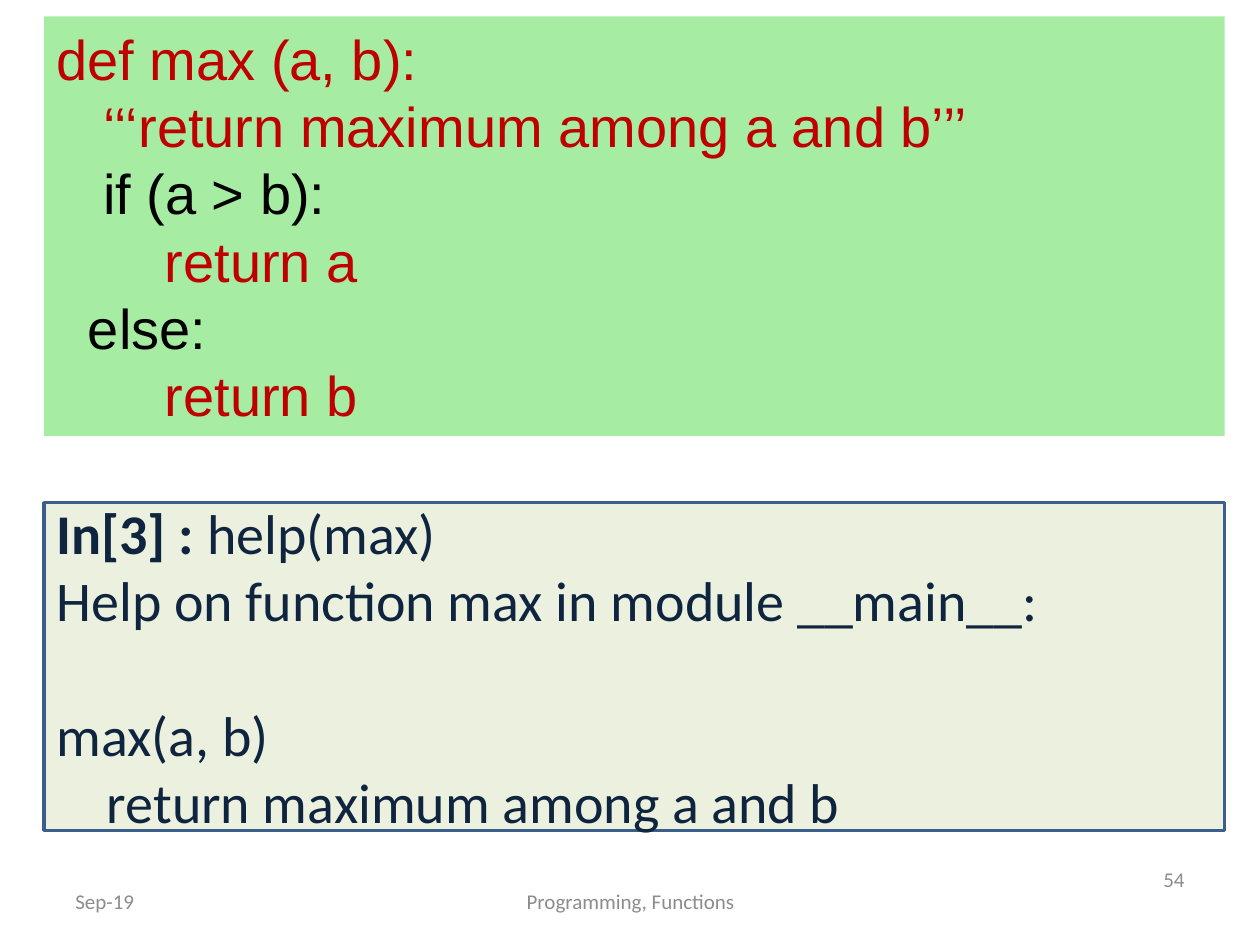
from pptx import Presentation
from pptx.dml.color import RGBColor
from pptx.enum.shapes import MSO_SHAPE
from pptx.enum.text import MSO_ANCHOR, PP_ALIGN
from pptx.util import Inches, Pt

RECTANGLE = MSO_SHAPE.RECTANGLE
MIDDLE = MSO_ANCHOR.MIDDLE
LEFT, CENTER, RIGHT = PP_ALIGN.LEFT, PP_ALIGN.CENTER, PP_ALIGN.RIGHT

COLORS = {
    "code_fill": "A6EDA3", "code_red": "C00000", "code_black": "000000",
    "output_fill": "EBF1DE", "output_line": "3A5F8C", "output_text": "0F243E",
    "footer": "8C8C8C",
}
LINE_PITCH = Pt(38.4)


def color(name):
    return RGBColor.from_string(COLORS[name])


class SlideBuilder:
    def __init__(self, slide):
        self.slide = slide

    def add_words(self, paragraph, text, color_name, **font_format):
        run = paragraph.add_run()
        run.text = text
        run.font.color.rgb = color(color_name)
        for attribute, value in font_format.items():
            setattr(run.font, attribute, value)

    def panel(self, top, height, fill, line=None):
        panel = self.slide.shapes.add_shape(
            RECTANGLE, Inches(0.35), Inches(top), Inches(9.37), Inches(height))
        panel.shadow.inherit = False
        panel.fill.solid()
        panel.fill.fore_color.rgb = color(fill)
        if line:
            panel.line.color.rgb = color(line)
            panel.line.width = Pt(2)
        else:
            panel.line.fill.background()
        panel.text_frame.word_wrap = True
        panel.text_frame.vertical_anchor = MIDDLE
        return panel.text_frame

    def lines(self, frame, font, rows):
        """Each row holds an indent in inches, space before, and its runs."""
        for index, (indent, space_before, runs) in enumerate(rows):
            paragraph = frame.add_paragraph() if index else frame.paragraphs[0]
            layout = {"alignment": LEFT, "line_spacing": LINE_PITCH,
                      "space_before": space_before}
            for attribute, value in layout.items():
                setattr(paragraph, attribute, value)
            properties = paragraph._p.get_or_add_pPr()
            properties.set("marL", str(Inches(indent)))
            properties.set("indent", "0")
            for text, color_name, bold in runs:
                self.add_words(paragraph, text, color_name,
                               name=font, size=Pt(32), bold=bold)

    def footer(self, text, left, top, width, alignment):
        box = self.slide.shapes.add_textbox(
            Inches(left), Inches(top), Inches(width), Inches(0.4))
        box.text_frame.word_wrap = True
        box.text_frame.vertical_anchor = MIDDLE
        paragraph = box.text_frame.paragraphs[0]
        paragraph.alignment = alignment
        self.add_words(paragraph, text, "footer", name="Calibri", size=Pt(12))


def main():
    deck = Presentation()
    deck.slide_width, deck.slide_height = Inches(10), Inches(7.5)
    builder = SlideBuilder(deck.slides.add_slide(deck.slide_layouts[6]))

    # Footer
    builder.footer("Sep-19", 0.5, 6.95, 2.33, LEFT)
    builder.footer("Programming, Functions", 3.42, 6.95, 3.17, CENTER)
    builder.footer("54", 7.17, 6.78, 2.33, RIGHT)

    # Function definition
    code = [
        (0, "def max (a, b):", "code_red"),
        (0.37, "‘‘‘return maximum among a and b’’’", "code_red"),
        (0.37, "if (a > b):", "code_black"),
        (0.86, "return a", "code_red"),
        (0.25, "else:", "code_black"),
        (0.86, "return b", "code_red"),
    ]
    definition = builder.panel(0.13, 3.33, "code_fill")
    builder.lines(definition, "Arial", [
        (indent, Pt(0), [(text, shade, False)]) for indent, text, shade in code])

    # Interpreter session
    ink = "output_text"
    session = builder.panel(3.99, 2.6, "output_fill", "output_line")
    builder.lines(session, "Calibri", [
        (0, Pt(0), [("In[3] : ", ink, True), ("help(max)", ink, False)]),
        (0, Pt(0), [("Help on function max in module __main__:", ink, False)]),
        (0, LINE_PITCH, [("max(a, b)", ink, False)]),
        (0.4, Pt(0), [("return maximum among a and b", ink, False)]),
    ])

    deck.save("out.pptx")


if __name__ == "__main__":
    main()
